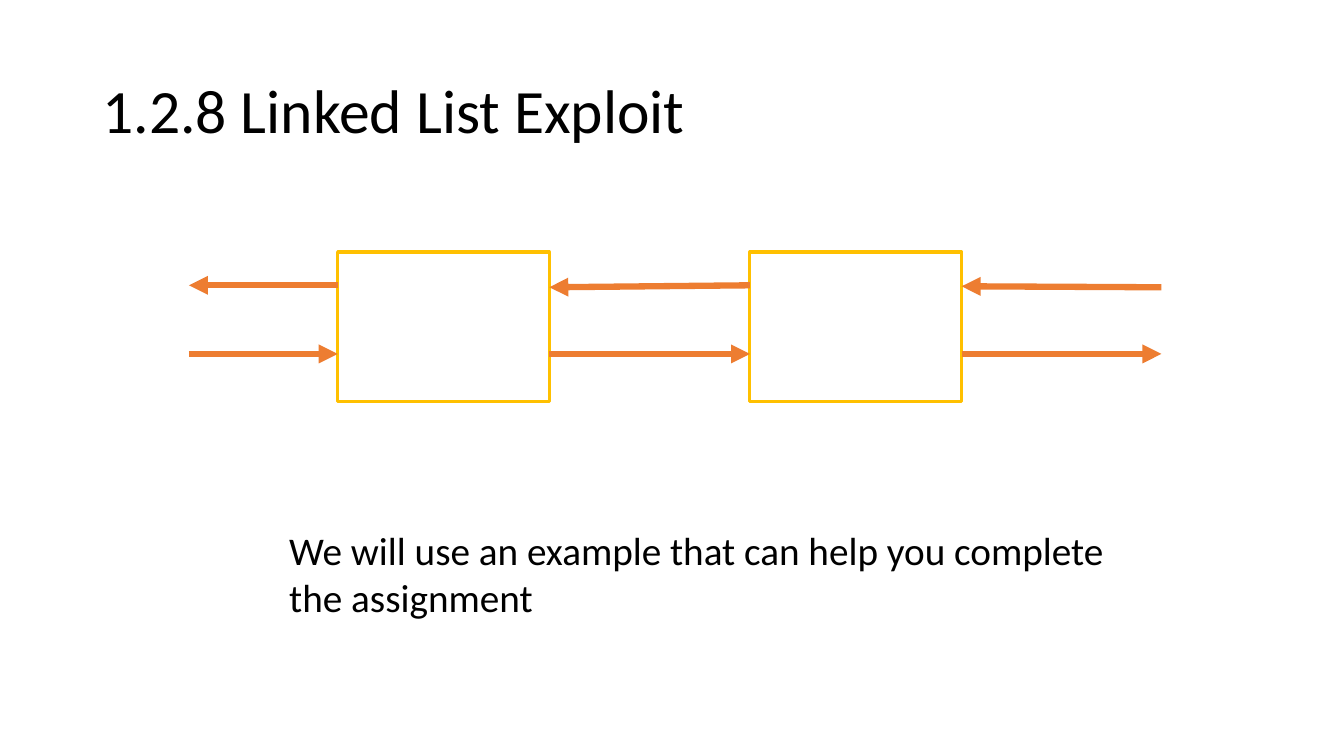
import pptx
import pptx.dml.color
import pptx.enum.shapes
import pptx.enum.text
import pptx.oxml
import pptx.oxml.ns
import pptx.util

Pt = pptx.util.Pt
RGBColor = pptx.dml.color.RGBColor
BLACK = RGBColor(0x00, 0x00, 0x00)
WHITE = RGBColor(0xFF, 0xFF, 0xFF)
GOLD = RGBColor(0xFF, 0xC0, 0x00)
ORANGE = RGBColor(0xED, 0x7D, 0x31)


def write_text(shape, text, size, line_spacing):
    shape.text_frame.word_wrap = True
    paragraph = shape.text_frame.paragraphs[0]
    paragraph.text = text
    paragraph.alignment = pptx.enum.text.PP_ALIGN.LEFT
    paragraph.line_spacing = line_spacing
    font = paragraph.runs[0].font
    for name, value in {"name": "Calibri", "size": Pt(size)}.items():
        setattr(font, name, value)
    font.color.rgb = BLACK


presentation = pptx.Presentation()
presentation.slide_width = Pt(960)
presentation.slide_height = Pt(540)
slide = presentation.slides.add_slide(presentation.slide_layouts[5])

title = slide.shapes.title
title_box = {"left": 66, "top": 28.8, "width": 828, "height": 104.4}
for name, value in title_box.items():
    setattr(title, name, Pt(value))
title.text_frame.vertical_anchor = pptx.enum.text.MSO_ANCHOR.MIDDLE
write_text(title, "1.2.8 Linked List Exploit", 44, 0.9)

node_width = 151.2
first_left, second_left = 241.2, 535.7
first_right, second_right = first_left + node_width, second_left + node_width
list_left, list_right = 135, 829.6

for node_left in (first_left, second_left):
    node = slide.shapes.add_shape(
        pptx.enum.shapes.MSO_SHAPE.RECTANGLE,
        Pt(node_left), Pt(180), Pt(node_width), Pt(106.8))
    node.shadow.inherit = False
    node.fill.solid()
    node.fill.fore_color.rgb = WHITE
    node.line.color.rgb = GOLD
    node.line.width = Pt(2.25)

next_y = 252.8
pointers = [
    (first_left, 203.8, list_left, 203.8),
    (second_left, 203.8, first_right, 205.2),
    (list_right, 205.2, second_right, 204.5),
    (list_left, next_y, first_left, next_y),
    (first_right, next_y, second_left, next_y),
    (second_right, next_y, list_right, next_y),
]
for ends in pointers:
    pointer = slide.shapes.add_connector(
        pptx.enum.shapes.MSO_CONNECTOR.STRAIGHT, *map(Pt, ends))
    pointer.line.color.rgb = ORANGE
    pointer.line.width = Pt(4.5)
    arrowhead = pptx.oxml.parse_xml(
        f'<a:tailEnd {pptx.oxml.ns.nsdecls("a")} type="triangle"/>')
    pointer.line._get_or_add_ln().append(arrowhead)
    no_effects = pptx.oxml.parse_xml(
        f'<a:effectLst {pptx.oxml.ns.nsdecls("a")}/>')
    pointer._element.spPr.append(no_effects)

caption = slide.shapes.add_textbox(Pt(199.5), Pt(372.2), Pt(617.8), Pt(75))
caption.text_frame.auto_size = pptx.enum.text.MSO_AUTO_SIZE.SHAPE_TO_FIT_TEXT
write_text(caption, "We will use an example that can help you complete the assignment", 28, 1.0)

presentation.save("out.pptx")
